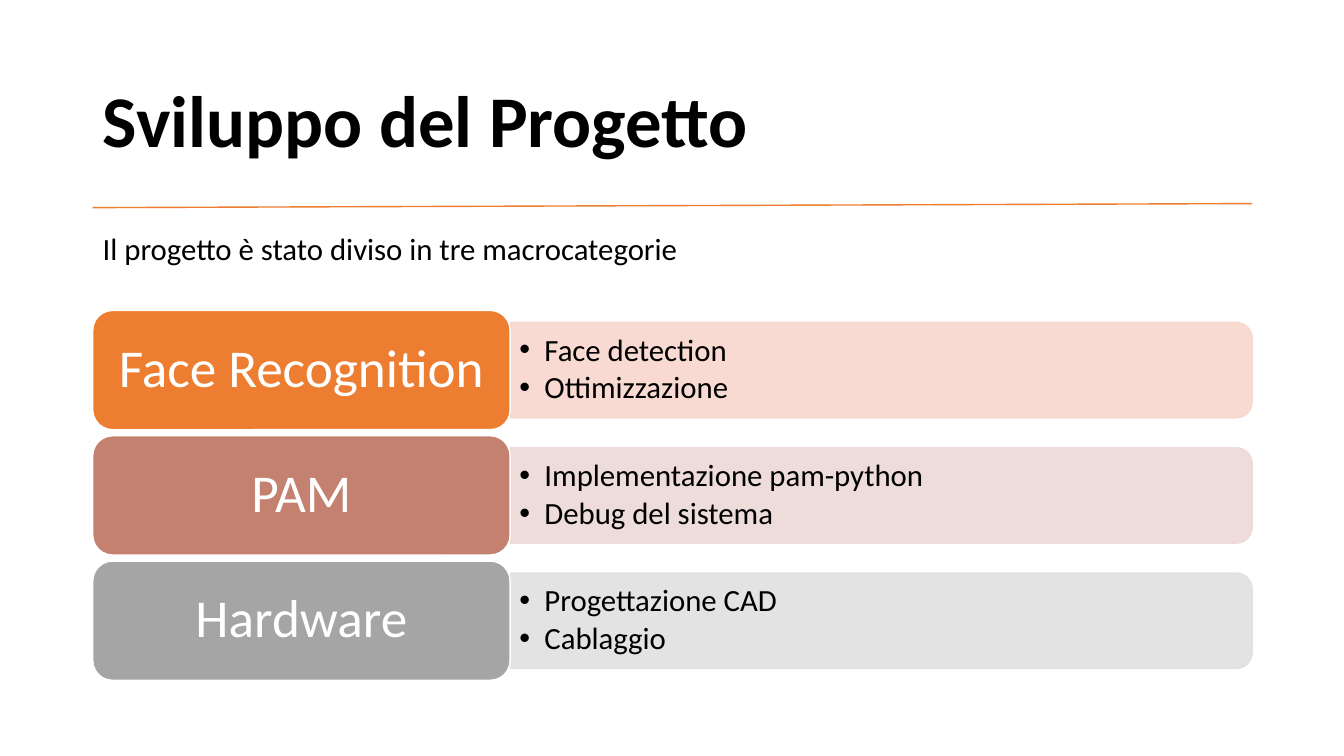
from lxml.etree import SubElement
from pptx import Presentation
from pptx.dml.color import RGBColor
from pptx.enum.shapes import MSO_CONNECTOR, MSO_SHAPE as SHAPE
from pptx.enum.text import MSO_ANCHOR as ANCHOR, PP_ALIGN as ALIGN
from pptx.oxml.ns import qn
from pptx.util import Inches, Pt

ORANGE, BLACK, WHITE = "ED7D31", "000000", "FFFFFF"
CATEGORIES = [
    ("Face Recognition", ORANGE, "F8D7CE", ["Face detection", "Ottimizzazione"]),
    ("PAM", "C48170", "EDD9D7", ["Implementazione pam-python", "Debug del sistema"]),
    ("Hardware", "A5A5A5", "E1E1E1", ["Progettazione CAD", "Cablaggio"]),
]


def color(hex_code):
    return RGBColor.from_string(hex_code)


def add_bullet(paragraph):
    paragraph.level = 1
    properties = paragraph._p.get_or_add_pPr()
    properties.set("marL", str(Inches(0.25)))
    properties.set("indent", str(Inches(-0.25)))
    SubElement(properties, qn("a:buFont"), typeface="Arial")
    SubElement(properties, qn("a:buChar"), char="•")


def write(frame, lines, size=22, fill=BLACK, bold=False, align=ALIGN.LEFT,
          anchor=ANCHOR.MIDDLE, bullets=False, spacing=0.9, after=0, inset=(0.1, 0.05)):
    frame.word_wrap = True
    frame.vertical_anchor = anchor
    frame.margin_left = frame.margin_right = Inches(inset[0])
    frame.margin_top = frame.margin_bottom = Inches(inset[1])
    for index, line in enumerate(lines):
        paragraph = frame.add_paragraph() if index else frame.paragraphs[0]
        if bullets:
            add_bullet(paragraph)
        paragraph.alignment = align
        paragraph.line_spacing = spacing
        paragraph.space_after = Pt(after)
        run = paragraph.add_run()
        run.text = line
        font = run.font
        font.name, font.size, font.bold = "Calibri", Pt(size), bold
        font.color.rgb = color(fill)


def add_block(slide, preset, left, top, width, height, fill, line, opacity=None):
    block = slide.shapes.add_shape(
        preset, Inches(left), Inches(top), Inches(width), Inches(height))
    block.shadow.inherit = False
    block.fill.solid()
    block.fill.fore_color.rgb = color(fill)
    block.line.color.rgb = color(line)
    block.line.width = Pt(1)
    if opacity:
        for rgb in block._element.spPr.iter(qn("a:srgbClr")):
            SubElement(rgb, qn("a:alpha"), val=str(opacity * 1000))
    return block


def add_text_box(slide, left, top, width, height, lines, **text_format):
    box = slide.shapes.add_textbox(
        Inches(left), Inches(top), Inches(width), Inches(height))
    write(box.text_frame, lines, **text_format)


def add_heading(slide, left, top, width):
    title = slide.shapes.title
    title.left, title.top = Inches(left), Inches(top)
    title.width, title.height = Inches(width), Inches(1.24)
    write(title.text_frame, ["Sviluppo del Progetto"], size=52, bold=True)

    rule = slide.shapes.add_connector(
        MSO_CONNECTOR.STRAIGHT, Inches(left), Inches(top + 1.45),
        Inches(left + width), Inches(top + 1.41))
    rule.line.color.rgb = color(ORANGE)
    rule.line.width = Pt(1)
    SubElement(rule._element.spPr, qn("a:effectLst"))

    add_text_box(slide, left, top + 1.62, 7.94, 0.47,
                 ["Il progetto è stato diviso in tre macrocategorie"],
                 anchor=ANCHOR.TOP, spacing=1)


def add_category(slide, left, top, width, height, category):
    name, fill, tint, topics = category
    label_width = width * 0.36
    panel_left, panel_width = left + label_width, width - label_width
    panel_height = height * 0.8
    middle = top + height / 2

    # The quarter turn puts the rounded top corners on the right.
    panel = add_block(slide, SHAPE.ROUND_2_SAME_RECTANGLE,
                      panel_left + (panel_width - panel_height) / 2,
                      middle - panel_width / 2, panel_height, panel_width,
                      tint, tint, opacity=90)
    panel.rotation = 90
    add_text_box(slide, panel_left, middle - 0.43, panel_width - 0.05, 0.86, topics,
                 bullets=True, after=3.3, inset=(0.09, 0.05))

    label = add_block(slide, SHAPE.ROUNDED_RECTANGLE,
                      left, top, label_width, height, fill, WHITE)
    write(label.text_frame, [name], size=38, fill=WHITE, align=ALIGN.CENTER,
          inset=(0.2, 0.1))


def add_categories(slide, left, top, width, height):
    gap = 0.06
    row_height = (height + gap) / len(CATEGORIES) - gap
    for index, category in enumerate(CATEGORIES):
        add_category(slide, left, top + index * (row_height + gap),
                     width, row_height, category)


def main():
    deck = Presentation()
    deck.slide_width, deck.slide_height = Inches(13.33), Inches(7.5)
    slide = deck.slides.add_slide(deck.slide_layouts[5])
    add_heading(slide, 0.92, 0.61, 11.5)
    add_categories(slide, 0.92, 3.08, 11.5, 3.67)
    deck.save("out.pptx")


if __name__ == "__main__":
    main()
